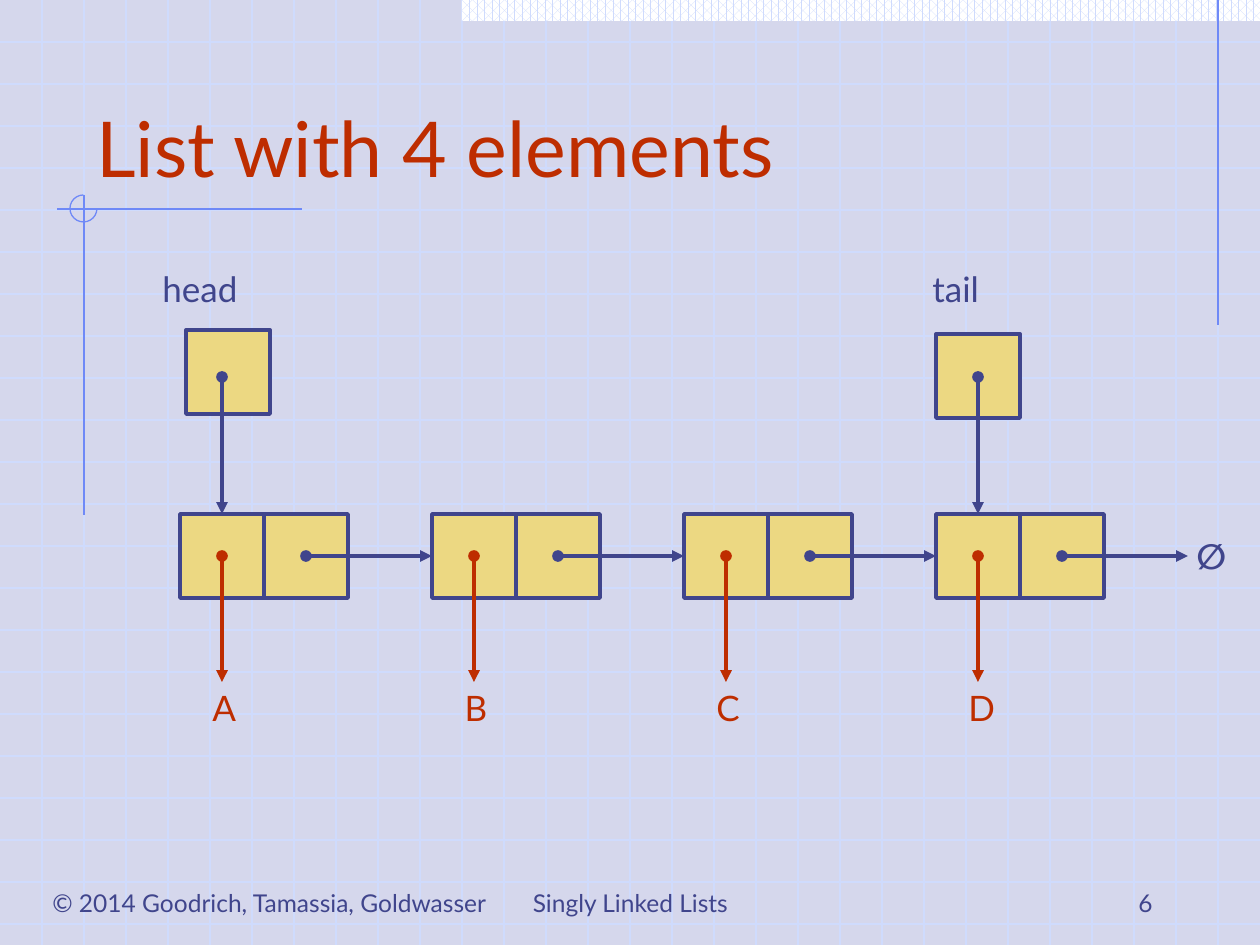
from dataclasses import dataclass

from lxml.etree import SubElement
from pptx import Presentation
from pptx.dml.color import RGBColor as Color
from pptx.enum.dml import MSO_PATTERN as Pattern
from pptx.enum.shapes import MSO_CONNECTOR as Connector, MSO_SHAPE as Shape
from pptx.enum.text import MSO_ANCHOR as Anchor, MSO_AUTO_SIZE as AutoSize, PP_ALIGN as Align
from pptx.oxml.ns import qn
from pptx.util import Pt


@dataclass(frozen=True)
class Theme:
    font: str = "Lato"
    paper: str = "D5D7EC"
    grid: str = "CFDBFD"
    white: str = "FFFFFF"
    ornament: str = "6F89F7"
    ink: str = "40458C"
    accent: str = "BE2D00"
    cell: str = "ECD882"
    title: int = 44
    label: int = 20
    footer: int = 14
    thin: float = 0.75
    thick: float = 2.25


@dataclass(frozen=True)
class Box:
    left: int
    top: int
    width: int
    height: int

    def inner(self, left, top, width, height):
        return Box(self.left + left, self.top + top, width, height)

    def emu(self):
        return [px(n) for n in (self.left, self.top, self.width, self.height)]


THEME = Theme()
EMU_PER_PX = 914400 / 126
GRID = 42
CELL = 84
PITCH = 252


def px(length):
    return round(length * EMU_PER_PX)


def rgb(code):
    return Color.from_string(code)


def add_line(page, start, end, color, width, arrow=False):
    line = page.shapes.add_connector(Connector.STRAIGHT, *map(px, (*start, *end)))
    line.line.color.rgb = rgb(color)
    line.line.width = Pt(width)
    if arrow:
        outline = line.line._get_or_add_ln()
        for tag, kind in (("a:headEnd", "oval"), ("a:tailEnd", "triangle")):
            SubElement(outline, qn(tag), type=kind)
    SubElement(line._element.spPr, qn("a:effectLst"))
    return line


def add_text(page, box, text, size, color, align=Align.LEFT, anchor=Anchor.TOP,
             wrap=False, bold=False):
    frame = page.shapes.add_textbox(*box.emu()).text_frame
    frame.word_wrap = wrap
    frame.auto_size = AutoSize.NONE if wrap else AutoSize.SHAPE_TO_FIT_TEXT
    frame.vertical_anchor = anchor
    para = frame.paragraphs[0]
    para.text = text
    para.alignment = align
    para.font.name = THEME.font
    para.font.size = Pt(size)
    para.font.bold = bold
    para.font.color.rgb = rgb(color)


def add_cell(page, box):
    cell = page.shapes.add_shape(Shape.RECTANGLE, *box.emu())
    cell.shadow.inherit = False
    cell.fill.solid()
    cell.fill.fore_color.rgb = rgb(THEME.cell)
    cell.line.color.rgb = rgb(THEME.ink)
    cell.line.width = Pt(THEME.thick)
    return cell


def draw_grid(page, box):
    right, bottom = box.left + box.width, box.top + box.height
    for y in range(box.top + GRID, bottom, GRID):
        add_line(page, (box.left, y), (right, y), THEME.grid, THEME.thin)
    for x in range(box.left + GRID, right, GRID):
        add_line(page, (x, box.top), (x, bottom), THEME.grid, THEME.thin)


def draw_ornaments(page, box):
    band = page.shapes.add_shape(Shape.RECTANGLE, *box.inner(462, 0, 798, 21).emu())
    band.shadow.inherit = False
    band.fill.patterned()
    band.fill.pattern = Pattern.PERCENT_60
    band.fill.fore_color.rgb = rgb(THEME.grid)
    band.fill.back_color.rgb = rgb(THEME.white)
    band.line.fill.background()

    for x1, y1, x2, y2 in ((1218, 0, 1218, 325), (302, 209, 57, 209), (84, 195, 84, 515)):
        add_line(page, (box.left + x1, box.top + y1), (box.left + x2, box.top + y2),
                 THEME.ornament, THEME.thin)

    arc = page.shapes.add_shape(Shape.ARC, *box.inner(70, 195, 27, 27).emu())
    arc.shadow.inherit = False
    arc.adjustments[0] = 0
    arc.adjustments[1] = 270 * 0.6
    arc.fill.background()
    arc.line.color.rgb = rgb(THEME.ornament)
    arc.line.width = Pt(THEME.thin)


def draw_title(page, box):
    add_text(page, box, "List with 4 elements", THEME.title, THEME.accent,
             anchor=Anchor.BOTTOM, wrap=True)


def draw_footer(page, box):
    add_text(page, box.inner(0, 21, 469, 43), "© 2014 Goodrich, Tamassia, Goldwasser",
             THEME.footer, THEME.ink, Align.CENTER)
    for left, width, text, align in ((396, 399, "Singly Linked Lists", Align.CENTER),
                                     (868, 262, "6", Align.RIGHT)):
        add_text(page, box.inner(left, 0, width, 63), text, THEME.footer, THEME.ink,
                 align, Anchor.BOTTOM, wrap=True)


def draw_nodes(page, box, elements):
    half = CELL // 2
    middle = box.top + half
    data_cells = []
    for index, element in enumerate(elements):
        left = index * PITCH
        data_cells.append(add_cell(page, box.inner(left, 0, CELL, CELL)))
        add_cell(page, box.inner(left + CELL, 0, CELL, CELL))
        center = box.left + left + half
        add_line(page, (center, middle), (center, middle + 126),
                 THEME.accent, THEME.thick, arrow=True)
        add_text(page, box.inner(left + 20, 166, 48, 54), element,
                 THEME.label, THEME.accent, Align.CENTER)

    following = data_cells[1:] + [None]
    for index, target in enumerate(following):
        start = box.left + index * PITCH + CELL + half
        link = add_line(page, (start, middle), (start + 126, middle),
                        THEME.ink, THEME.thick, arrow=True)
        if target is not None:
            link.end_connect(target, 1)
    add_text(page, box.inner(1004, 14, 54, 54), "∅", THEME.label, THEME.ink,
             Align.CENTER, bold=True)
    return data_cells


def draw_pointer(page, box, name, label_left, label_width, cell_left, cell_top, target):
    add_text(page, box.inner(label_left, 0, label_width, 55), name, THEME.label, THEME.ink)
    add_cell(page, box.inner(cell_left, cell_top, CELL, CELL))
    center = box.left + CELL // 2
    pointer = add_line(page, (center, box.top + 116), (center, box.top + box.height),
                       THEME.ink, THEME.thick, arrow=True)
    pointer.end_connect(target, 0)


def draw_linked_list(page, box):
    cells = draw_nodes(page, box.inner(0, 253, box.width, CELL), "ABCD")
    draw_pointer(page, box.inner(0, 0, CELL, 253), "head", -30, 102, 6, 69, cells[0])
    draw_pointer(page, box.inner(3 * PITCH, 0, CELL, 253), "tail", -16, 72, 0, 73, cells[-1])


def main():
    deck = Presentation()
    slide_box = Box(0, 0, 1260, 945)
    deck.slide_width, deck.slide_height = px(slide_box.width), px(slide_box.height)
    page = deck.slides.add_slide(deck.slide_layouts[6])
    page.background.fill.solid()
    page.background.fill.fore_color.rgb = rgb(THEME.paper)
    draw_grid(page, slide_box)
    draw_ornaments(page, slide_box)
    draw_title(page, Box(84, 42, 1071, 157))
    draw_footer(page, Box(35, 861, 1130, 64))
    draw_linked_list(page, Box(180, 261, 1058, 473))
    deck.save("out.pptx")


if __name__ == "__main__":
    main()
